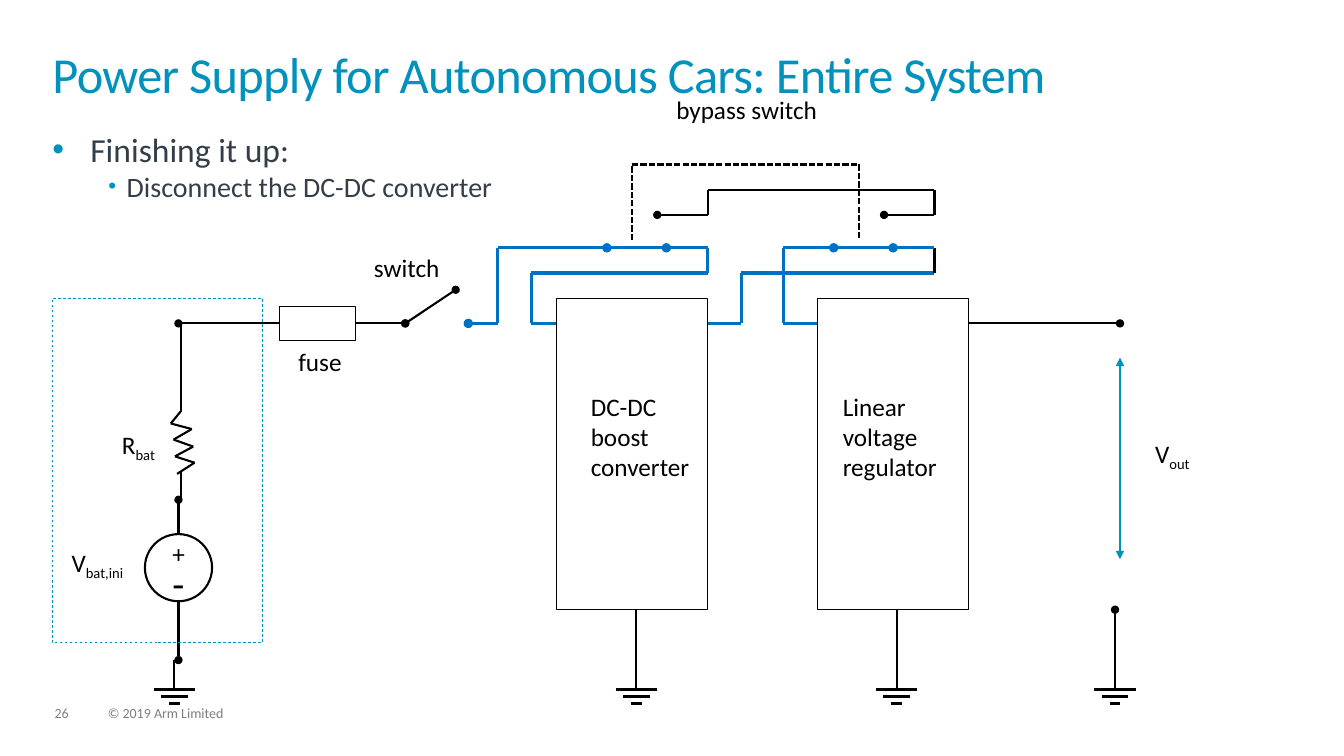
import pptx
import pptx.util
import pptx.dml.color
import pptx.enum.dml
import pptx.enum.shapes
import pptx.enum.text
import pptx.oxml
import pptx.oxml.ns

Pt = pptx.util.Pt
SHAPE = pptx.enum.shapes.MSO_SHAPE
DASH = pptx.enum.dml.MSO_LINE
COLORS = {
    "teal": "0091BD",
    "blue": "0070C0",
    "slate": "333E48",
    "gray": "7F7F7F",
    "black": "000000",
    "white": "FFFFFF",
}


def rgb(name):
    return pptx.dml.color.RGBColor.from_string(COLORS[name])


def add_child(parent, tag, **attrs):
    el = pptx.oxml.parse_xml(f"<a:{tag} {pptx.oxml.ns.nsdecls('a')}/>")
    for key, value in attrs.items():
        el.set(key, str(value))
    parent.append(el)
    return el


def add_run(p, text, size=18, color="black", baseline=None, spc=None):
    r = p.add_run()
    r.text = text
    r.font.name = "Calibri"
    r.font.size = Pt(size)
    r.font.color.rgb = rgb(color)
    for key, value in (("baseline", baseline), ("spc", spc)):
        if value is not None:
            r._r.get_or_add_rPr().set(key, str(value))


class Diagram:
    def __init__(self, slide):
        self.slide = slide

    def frame(self, x, y, w, h, inset=True):
        tf = self.slide.shapes.add_textbox(Pt(x), Pt(y), Pt(w), Pt(h)).text_frame
        tf.word_wrap = True
        tf.vertical_anchor = pptx.enum.text.MSO_ANCHOR.TOP
        if not inset:
            tf.margin_left = tf.margin_right = tf.margin_top = tf.margin_bottom = 0
        return tf

    def text(self, x, y, w, h, text, sub=None, inset=True, spacing=None, **fmt):
        tf = self.frame(x, y, w, h, inset)
        for i, line in enumerate(text.split("\n")):
            p = tf.add_paragraph() if i else tf.paragraphs[0]
            if spacing:
                p.line_spacing = spacing
            add_run(p, line, **fmt)
        if sub:
            add_run(p, sub, baseline=-25000, **fmt)

    def bullets(self, x, y, w, h, items):
        tf = self.frame(x, y, w, h, inset=False)
        for i, (text, size, level, left, hang, scale) in enumerate(items):
            p = tf.add_paragraph() if i else tf.paragraphs[0]
            p.level = level
            pPr = p._p.get_or_add_pPr()
            pPr.set("marL", str(Pt(left)))
            pPr.set("indent", str(-Pt(hang)))
            add_child(add_child(pPr, "buClr"), "srgbClr", val=COLORS["teal"])
            add_child(pPr, "buSzPct", val=scale * 1000)
            add_child(pPr, "buFont", typeface="Arial")
            add_child(pPr, "buChar", char="•")
            add_run(p, text, size=size, color="slate")

    def shape(self, kind, x, y, w, h, fill=None, color="black", width=0.5, dash=None):
        sp = self.slide.shapes.add_shape(kind, Pt(x), Pt(y), Pt(w), Pt(h))
        sp.shadow.inherit = False
        if fill:
            sp.fill.solid()
            sp.fill.fore_color.rgb = rgb(fill)
        else:
            sp.fill.background()
        sp.line.color.rgb = rgb(color)
        sp.line.width = Pt(width)
        if dash:
            sp.line.dash_style = dash
        return sp

    def wire(self, *points, color="black", width=1.5, dash=None, head=None, tail=None):
        cxns = []
        for (x1, y1), (x2, y2) in zip(points, points[1:]):
            cxn = self.slide.shapes.add_connector(
                pptx.enum.shapes.MSO_CONNECTOR.STRAIGHT, Pt(x1), Pt(y1), Pt(x2), Pt(y2))
            cxn.line.color.rgb = rgb(color)
            cxn.line.width = Pt(width)
            if dash:
                cxn.line.dash_style = dash
            add_child(cxn._element.spPr, "effectLst")
            cxns.append(cxn)
        for cxn, tag, end in ((cxns[0], "headEnd", head), (cxns[-1], "tailEnd", tail)):
            if end:
                ln = cxn._element.spPr.find(pptx.oxml.ns.qn("a:ln"))
                add_child(ln, tag, type=end)
        return cxns

    def live(self, *points, **ends):
        self.wire(*points, color="blue", width=2.25, **ends)

    def ground(self, x, top, head=None):
        self.wire((x, top), (x, 492.5), head=head)
        for i, half in enumerate((14.75, 9.5, 3.75)):
            y = 492.5 + 5 * i
            self.wire((x - half, y), (x + half, y))


def draw_battery(d):
    d.wire((129, 231), (129, 294), (122, 302.5), (137, 306.5), (124, 314),
           (138, 319), (125, 326), (139, 330.5), (126.5, 338.5))
    d.wire((129.5, 337), (129.5, 357))
    d.shape(SHAPE.OVAL, 103.5, 381.5, 48, 48, width=1.5)
    d.text(116, 381, 32, 29, "+")
    d.text(116, 396, 32, 41, "-", size=28)
    d.wire((127.5, 381), (127.5, 357), tail="oval")
    d.wire((127.5, 429.5), (127.5, 471.5), tail="oval")
    d.ground(124.5, 471.5)
    d.shape(SHAPE.RECTANGLE, 37.5, 213, 150, 246, color="teal", dash=DASH.DASH)
    d.text(44, 387.5, 60, 29, "V", sub="bat,ini")
    d.text(80, 303, 60, 29, "R", sub="bat")


def draw_input(d):
    fuse = d.shape(SHAPE.RECTANGLE, 199.5, 219, 54, 24)
    from_battery = d.wire((199.5, 231), (127.5, 231), tail="oval")[0]
    from_battery.begin_connect(fuse, 1)
    to_switch = d.wire((253.5, 231), (289.5, 231), tail="oval")[0]
    to_switch.begin_connect(fuse, 3)
    d.wire((325.5, 207), (289.5, 231), head="oval", tail="oval")
    d.text(206, 243.5, 60, 29, "fuse")
    d.text(260, 177, 90, 29, "switch")


def draw_stages(d):
    stages = ((397.5, 422, "DC-DC\nboost converter"),
              (583.5, 602, "Linear voltage regulator"))
    for left, text_left, label in stages:
        d.shape(SHAPE.RECTANGLE, left, 213, 108, 222, fill="white")
        d.ground(left + 57, 435.5)
        d.text(text_left, 279.5, 84, 72, label, inset=False)


def draw_bypass(d):
    d.live((334.5, 231), (355.5, 231), (355.5, 177), (433.5, 177), head="oval")
    d.live((476, 177), (505.5, 177), (505.5, 195), (379.5, 195), (379.5, 231),
           (397.5, 231))
    d.live((505.5, 231), (529.5, 231), (529.5, 195), (667.5, 195))
    d.wire((667.5, 195), (667.5, 177))
    d.live((667.5, 177), (638, 177))
    d.live((583.5, 231), (559.5, 231), (559.5, 177), (595.5, 177))
    for x in (433.5, 595.5):
        d.live((x, 177), (x + 42.5, 177), head="oval", tail="oval")
    d.wire((469.5, 153.5), (505.5, 153.5), (505.5, 135.5), (667.5, 135.5),
           (667.5, 153.5), (631.5, 153.5), head="oval", tail="oval")
    d.wire((451.5, 171.5), (451.5, 117.5), (613.5, 117.5), (613.5, 171.5),
           dash=DASH.SQUARE_DOT)
    d.text(476, 63.5, 144, 29, "bypass switch")


def draw_output(d):
    d.wire((691.5, 231), (800, 231), tail="oval")
    d.wire((800, 255.5), (800, 399.5), color="teal", width=1,
           head="triangle", tail="triangle")
    d.ground(796.5, 435.5, head="oval")
    d.text(818, 309.5, 60, 29, "V", sub="out")


def main():
    prs = pptx.Presentation()
    prs.slide_width, prs.slide_height = Pt(960), Pt(540)
    s = prs.slides.add_slide(prs.slide_layouts[6])
    d = Diagram(s)
    for x, w, label in ((39, 24, "26"), (77, 123, "© 2019 Arm Limited")):
        d.text(x, 504.5, w, 11, label, size=10, color="gray", inset=False, spacing=0.9)
    d.text(37.5, 37.5, 884, 52, "Power Supply for Autonomous Cars: Entire System",
           size=36, color="teal", spc=-50, inset=False, spacing=0.85)
    d.bullets(37.5, 92, 884, 322, [
        ("Finishing it up:", 24, 0, 27, 27, 100),
        ("Disconnect the DC-DC converter", 20, 1, 53, 13, 80),
    ])
    draw_battery(d)
    draw_input(d)
    draw_stages(d)
    draw_bypass(d)
    draw_output(d)
    prs.save("out.pptx")


if __name__ == "__main__":
    main()
